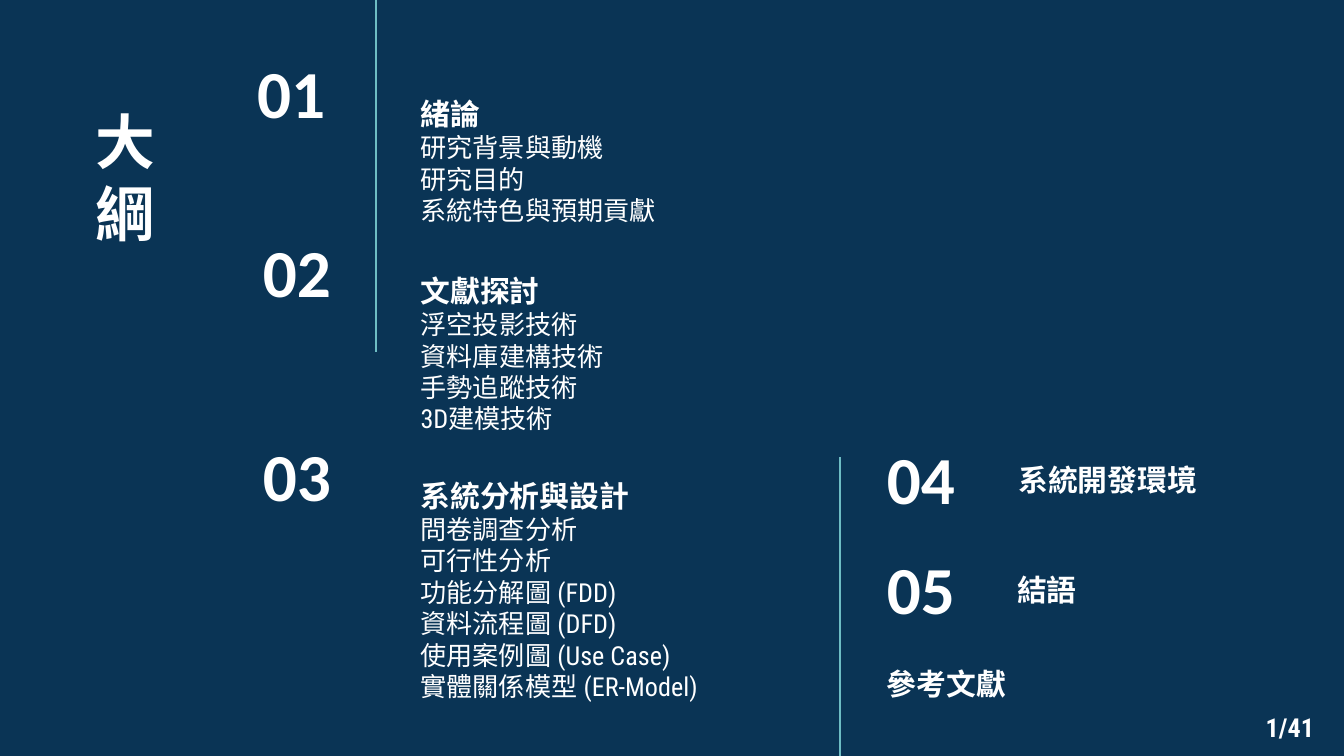
from dataclasses import dataclass

from lxml import etree
from pptx import Presentation
from pptx.dml.color import RGBColor
from pptx.enum import shapes, text
from pptx.oxml import ns
from pptx.util import Pt


@dataclass(frozen=True)
class Theme:
    """Colours, fonts and type sizes of the deck."""
    back: str = "0A3455"
    ink: str = "FFFFFF"
    rule: str = "6EBDC4"
    bold: str = "Calibri"
    slim: str = "Roboto Condensed"
    title: int = 32
    num: int = 36
    head: int = 16
    body: int = 14
    pad: float = 7.2


THEME = Theme()
ALIGN = text.PP_ALIGN
ANCHOR = text.MSO_ANCHOR

SECTIONS = [
    ((218.2, 22.3, 163.4, 105.8), (-124, 4.3), "01", "緒論",
     ["研究背景與動機", "研究目的", "系統特色與預期貢獻"]),
    ((218.2, 139.7, 195.1, 100.1), (-121, -17.3), "02", "文獻探討",
     ["浮空投影技術", "資料庫建構技術", "手勢追蹤技術", "3D建模技術"]),
    ((218.2, 239.8, 180, 143.3), (-121, -8), "03", "系統分析與設計",
     ["問卷調查分析", "可行性分析", "功能分解圖 (FDD)", "資料流程圖 (DFD)",
      "使用案例圖 (Use Case)", "實體關係模型 (ER-Model)"]),
]
BRIEFS = [
    ((468, 233.3, 195.8, 45.4), "04", "系統開發環境"),
    ((468, 292.3, 195.1, 45.4), "05", "結語"),
]


def add_text(slide, box, lines, anchor, align=ALIGN.LEFT):
    """Place a text box of (words, size, font, bold, spacing) lines."""
    shape = slide.shapes.add_textbox(*map(Pt, box))
    frame = shape.text_frame
    frame.word_wrap = True
    frame.vertical_anchor = anchor
    frame.margin_left = frame.margin_right = Pt(THEME.pad)
    frame.margin_top = frame.margin_bottom = Pt(THEME.pad)
    for i, (words, size, font, bold, gap) in enumerate(lines):
        para = frame.add_paragraph() if i else frame.paragraphs[0]
        para.alignment = align
        para.line_spacing = gap
        run = para.add_run()
        run.text = words
        run.font.size = Pt(size)
        run.font.name = font
        run.font.bold = bold
        run.font.color.rgb = RGBColor.from_string(THEME.ink)


def add_label(slide, box, words, size, anchor, align=ALIGN.LEFT):
    """Place one bold line."""
    add_text(slide, box, [(words, size, THEME.bold, True, 1.0)], anchor, align)


def add_section(slide, box, shift, num, head, items):
    """Place a headed list in the box, with its number shifted to the left."""
    left, top = box[:2]
    add_label(slide, (left + shift[0], top + shift[1], 87.1, 45.4), num,
              THEME.num, ANCHOR.MIDDLE, ALIGN.RIGHT)
    lines = [(head, THEME.head, THEME.bold, True, 1.5)]
    lines += [(item, THEME.body, THEME.slim, False, 1.0) for item in items]
    add_text(slide, box, lines, ANCHOR.BOTTOM)


def add_brief(slide, box, num, head):
    """Place a number at the left of the box and its heading at the right."""
    left, top, width, height = box
    add_label(slide, (left, top, 84.2, height), num, THEME.num, ANCHOR.MIDDLE)
    add_label(slide, (left + width - 125.3, top + 9.3, 125.3, 31), head,
              THEME.head, ANCHOR.BOTTOM)


def add_rule(slide, left, top, height):
    """Draw a thin upright line."""
    line = slide.shapes.add_connector(
        shapes.MSO_CONNECTOR.STRAIGHT,
        Pt(left), Pt(top), Pt(left), Pt(top + height))
    line.line.color.rgb = RGBColor.from_string(THEME.rule)
    line.line.width = Pt(0.75)
    etree.SubElement(line._element.spPr, ns.qn("a:effectLst"))


def add_page(slide, box, words):
    """Place the page number."""
    add_text(slide, box, [(words, THEME.body, THEME.slim, True, 1.0)],
             ANCHOR.TOP)


def main():
    """Build the outline slide."""
    deck = Presentation()
    deck.slide_width, deck.slide_height = Pt(720), Pt(405)
    slide = deck.slides.add_slide(deck.slide_layouts[6])
    fill = slide.background.fill
    fill.solid()
    fill.fore_color.rgb = RGBColor.from_string(THEME.back)

    add_label(slide, (40.3, 48.2, 54, 92.9), "大綱", THEME.title,
              ANCHOR.MIDDLE, ALIGN.CENTER)
    add_rule(slide, 201.4, 0, 188.6)
    add_rule(slide, 450, 245, 160)
    for section in SECTIONS:
        add_section(slide, *section)
    for brief in BRIEFS:
        add_brief(slide, *brief)
    add_label(slide, (468, 352.1, 84.2, 31), "參考文獻", THEME.head,
              ANCHOR.BOTTOM)
    add_page(slide, (671, 373.7, 49, 31.3), "1/41")
    deck.save("out.pptx")


if __name__ == "__main__":
    main()
